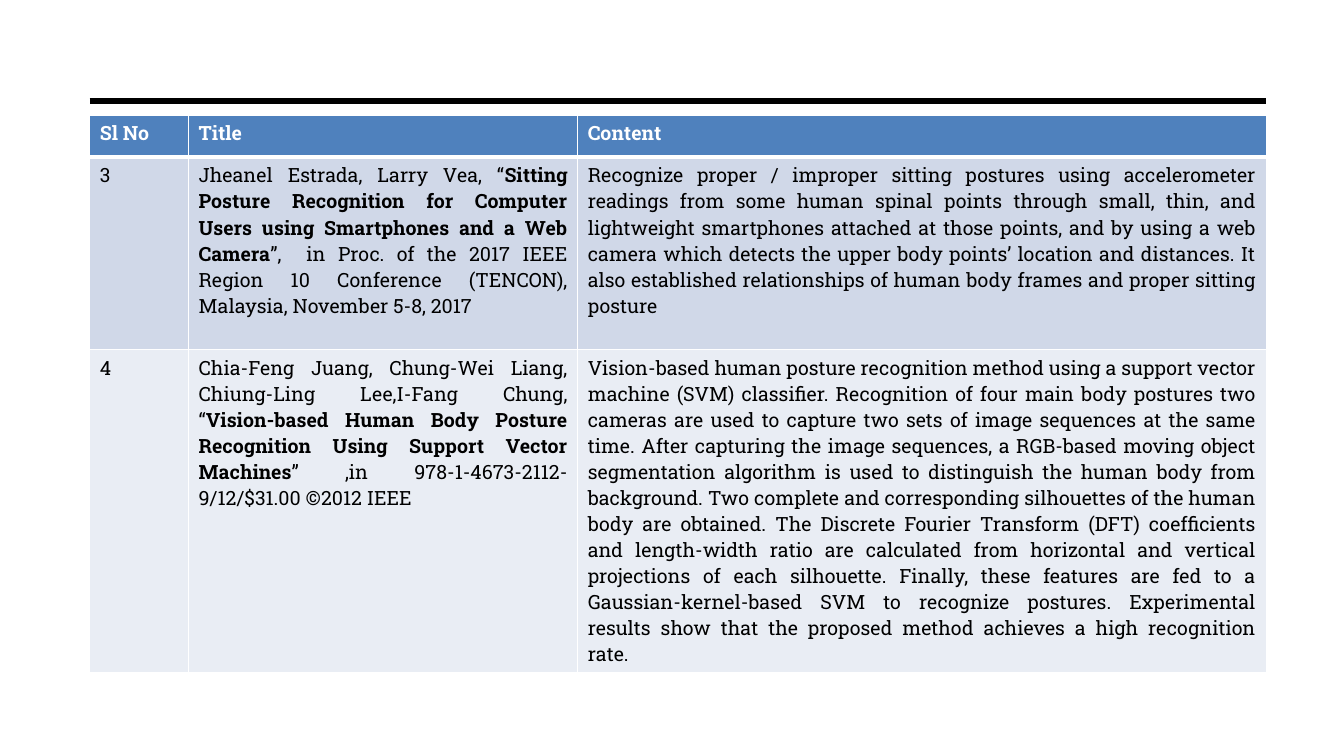
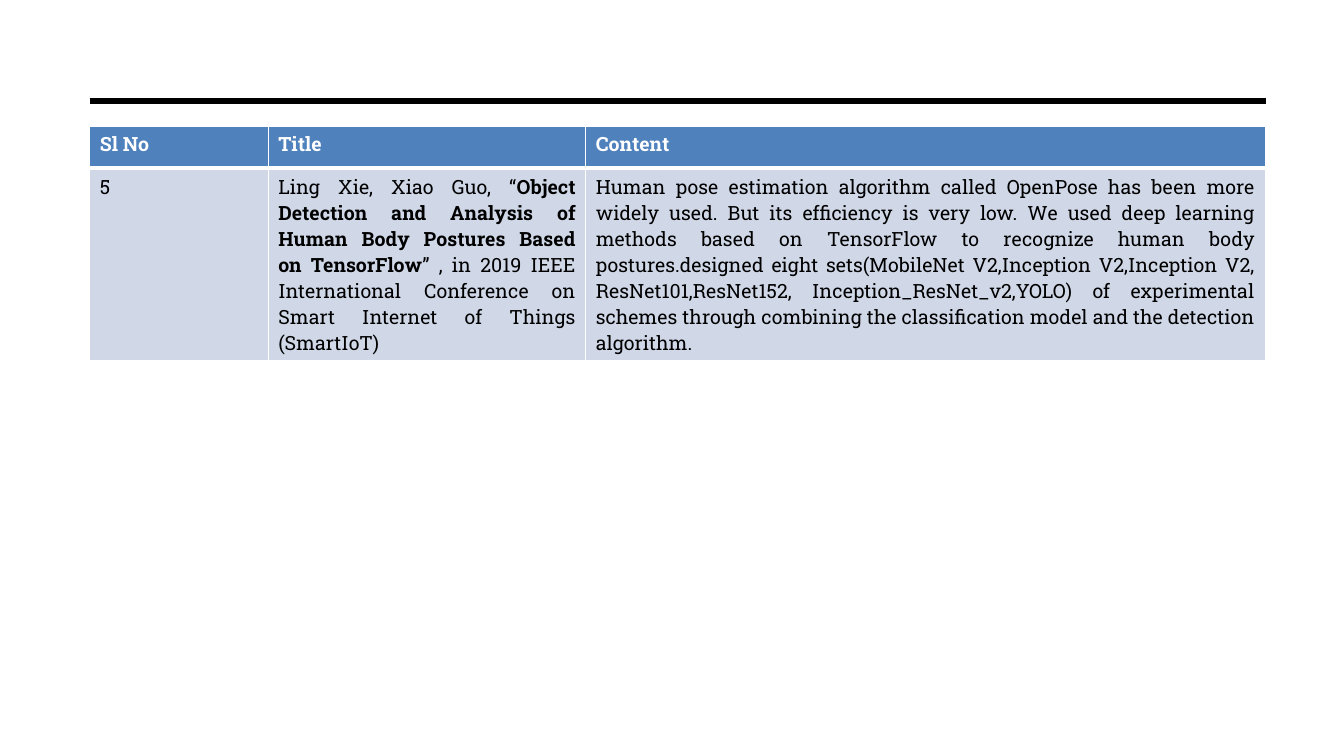
from lxml import etree
from pptx import Presentation
from pptx.dml.color import RGBColor as RGB
from pptx.enum.shapes import MSO_CONNECTOR as CONN
from pptx.enum.text import PP_ALIGN as ALIGN
from pptx.oxml.ns import qn
from pptx.util import Inches, Pt

BLACK = RGB(0x00, 0x00, 0x00)
WHITE = RGB(0xFF, 0xFF, 0xFF)
BLUE = RGB(0x4F, 0x81, 0xBD)
BANDS = [RGB(0xD0, 0xD8, 0xE8), RGB(0xE9, 0xED, 0xF4)]
FONT = "Roboto Slab"
LEFT, WIDTH, RULE_Y = 0.89, 11.67, 1
HEADER = ("Sl No", "Title", "Content")
HEADER_H = 0.42

SLIDES = [
    dict(
        top=1.14,
        cols=(0.98, 3.86, 6.83),
        heights=(1.91, 2.94),
        rows=[
            (
                "3",
                ("Jheanel Estrada, Larry Vea, “",
                 "Sitting Posture Recognition for Computer Users using "
                 "Smartphones and a Web Camera",
                 "”,  in Proc. of the 2017 IEEE Region 10 Conference (TENCON), "
                 "Malaysia, November 5-8, 2017"),
                "Recognize proper / improper sitting postures using accelerometer "
                "readings from some human spinal points through small, thin, and "
                "lightweight smartphones attached at those points, and by using a "
                "web camera which detects the upper body points’ location and "
                "distances. It also established relationships of human body frames "
                "and proper sitting posture",
            ),
            (
                "4",
                ("Chia-Feng Juang, Chung-Wei Liang, Chiung-Ling Lee,I-Fang Chung, “",
                 "Vision-based Human Body Posture Recognition Using Support "
                 "Vector Machines",
                 "” ,in 978-1-4673-2112-9/12/$31.00 ©2012 IEEE"),
                "Vision-based human posture recognition method using a support "
                "vector machine (SVM) classifier. Recognition of four main body "
                "postures two cameras are used to capture two sets of image "
                "sequences at the same time. After capturing the image sequences, "
                "a RGB-based moving object segmentation algorithm is used to "
                "distinguish the human body from background. Two complete and "
                "corresponding silhouettes of the human body are obtained. The "
                "Discrete Fourier Transform (DFT) coefficients and length-width "
                "ratio are calculated from horizontal and vertical projections of "
                "each silhouette. Finally, these features are fed to a "
                "Gaussian-kernel-based SVM to recognize postures. Experimental "
                "results show that the proposed method achieves a high "
                "recognition rate.",
            ),
        ],
    ),
    dict(
        top=1.25,
        cols=(1.77, 3.15, 6.74),
        heights=(1.91,),
        rows=[
            (
                "5",
                ("Ling Xie, Xiao Guo, “",
                 "Object Detection and Analysis of Human Body Postures Based "
                 "on TensorFlow",
                 "” , in 2019 IEEE International Conference on Smart Internet of "
                 "Things (SmartIoT)"),
                "Human pose estimation algorithm called OpenPose has been more "
                "widely used. But its efficiency is very low. We used deep learning "
                "methods based on TensorFlow to recognize human body "
                "postures.designed eight sets(MobileNet V2,Inception V2,Inception "
                "V2, ResNet101,ResNet152, Inception_ResNet_v2,YOLO) of experimental "
                "schemes through combining the classification model and the "
                "detection algorithm.",
            ),
        ],
    ),
]


def write(p, text, color=BLACK, bold=False, size=14):
    p.alignment = ALIGN.JUSTIFY
    r = p.add_run()
    r.text = text
    r.font.name = FONT
    r.font.size = Pt(size)
    r.font.bold = bold
    r.font.color.rgb = color


def set_borders(cell, **widths):
    tcPr = cell._tc.get_or_add_tcPr()
    for i, side in enumerate("LRTB"):
        ln = etree.Element(qn(f"a:ln{side}"), w=str(Pt(widths.get(side, 1))))
        fill = etree.SubElement(ln, qn("a:solidFill"))
        etree.SubElement(fill, qn("a:srgbClr"), val=str(WHITE))
        tcPr.insert(i, ln)


prs = Presentation()
prs.slide_width, prs.slide_height = Inches(13.33), Inches(7.5)
layout = prs.slide_layouts[6]

for n, spec_row in enumerate(SLIDES):
    s = prs.slides.add_slide(layout)
    if n == 0:
        rule = s.shapes.add_connector(
            CONN.STRAIGHT, Inches(LEFT), Inches(RULE_Y),
            Inches(LEFT + WIDTH), Inches(RULE_Y))
        rule.line.color.rgb = BLACK
        rule.line.width = Pt(4.5)
        etree.SubElement(rule.element.spPr, qn("a:effectLst"))
        layout.shapes.element.append(rule.element)

    heights = (HEADER_H, *spec_row["heights"])
    rows = [HEADER, *spec_row["rows"]]
    table = s.shapes.add_table(
        len(rows), len(HEADER), Inches(LEFT), Inches(spec_row["top"]),
        Inches(WIDTH), Inches(sum(heights))).table
    for col, width in zip(table.columns, spec_row["cols"]):
        col.width = Inches(width)
    for i, (texts, height) in enumerate(zip(rows, heights)):
        table.rows[i].height = Inches(height)
        head = i == 0
        for j, content in enumerate(texts):
            cell = table.cell(i, j)
            cell.fill.solid()
            cell.fill.fore_color.rgb = BLUE if head else BANDS[(i - 1) % 2]
            set_borders(cell, T=3 if i == 1 else 1, B=3 if head else 1)
            parts = content if isinstance(content, tuple) else (content,)
            for k, text in enumerate(parts):
                write(cell.text_frame.paragraphs[0], text,
                      color=WHITE if head else BLACK, bold=head or k == 1)

prs.save("out.pptx")
